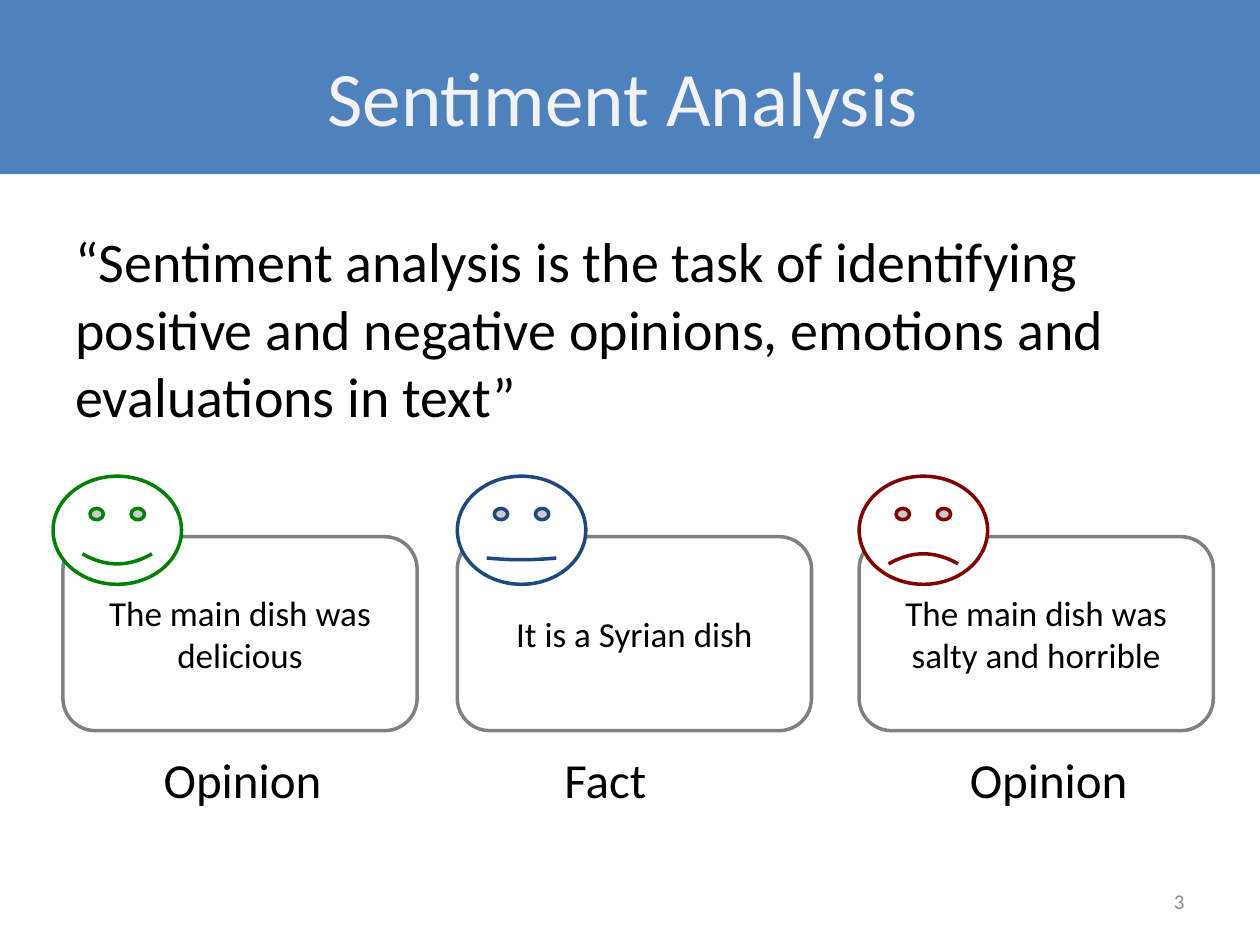
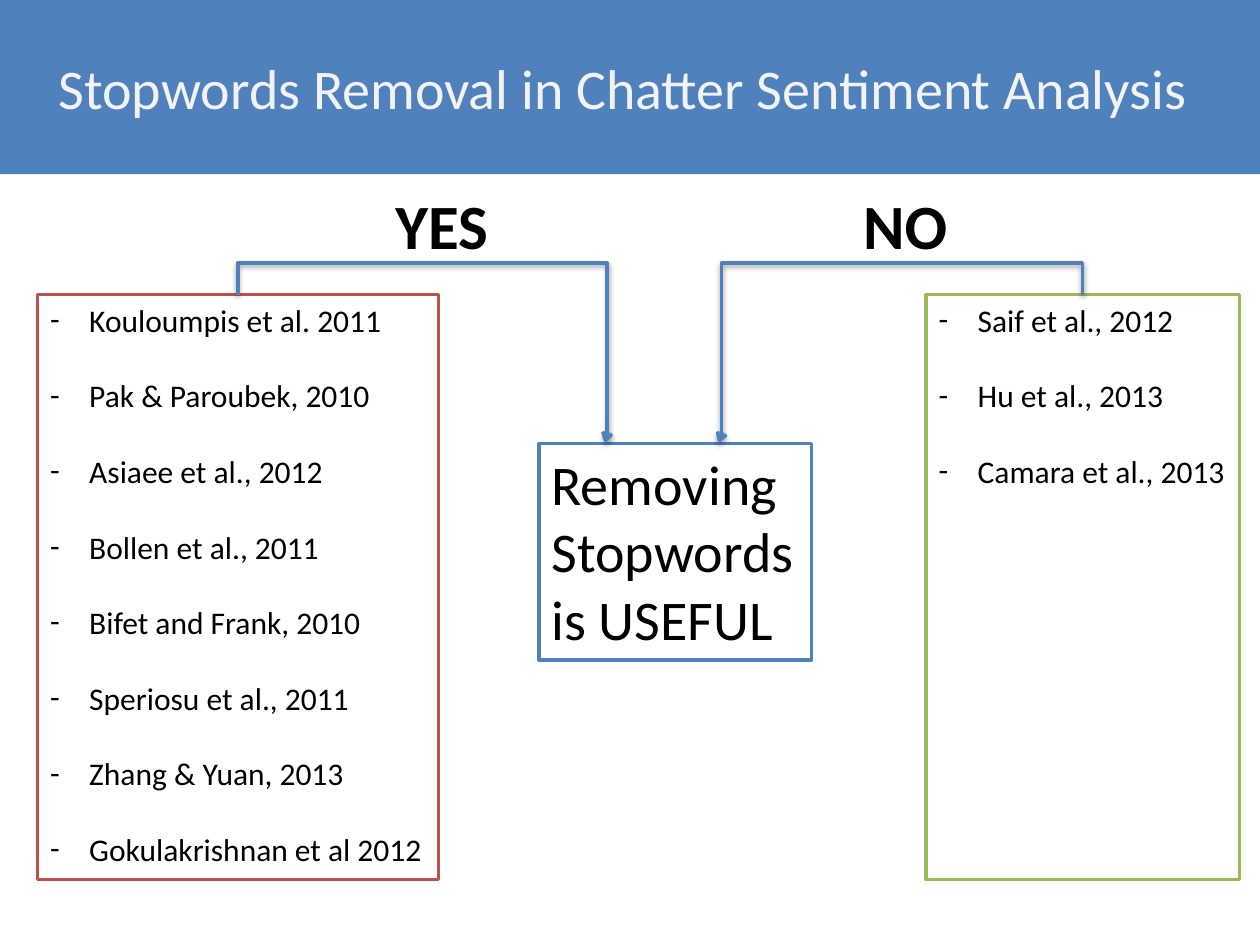
from dataclasses import dataclass

from lxml import etree
from pptx import Presentation
from pptx.dml.color import RGBColor
from pptx.enum.shapes import MSO_CONNECTOR, MSO_SHAPE
from pptx.enum.text import MSO_ANCHOR, PP_ALIGN
from pptx.oxml.ns import qn
from pptx.util import Cm, Pt

RECT = MSO_SHAPE.RECTANGLE
ROUNDED = MSO_SHAPE.ROUNDED_RECTANGLE
SMILEY = MSO_SHAPE.SMILEY_FACE
ELBOW = MSO_CONNECTOR.ELBOW
TOP, MIDDLE = MSO_ANCHOR.TOP, MSO_ANCHOR.MIDDLE
LEFT, CENTER, RIGHT = PP_ALIGN.LEFT, PP_ALIGN.CENTER, PP_ALIGN.RIGHT

FONT = "Calibri"
COLORS = {
    "white": "FFFFFF",
    "black": "000000",
    "blue": "4F81BD",
    "title": "F2F2F2",
    "number": "8C8C8C",
    "card": "808080",
    "positive": "008000",
    "neutral": "1F497D",
    "negative": "800000",
    "useful": "C0504D",
    "harmful": "9BBB59",
}
SLIDE_WIDTH, SLIDE_HEIGHT = 25.4, 19.05
BAND_HEIGHT = 3.51
LINE_WIDTH = 2
HANGING_INDENT = 0.79


@dataclass(frozen=True)
class Box:
    left: float
    top: float
    width: float
    height: float

    def lengths(self) -> tuple:
        return tuple(Cm(v) for v in (self.left, self.top, self.width, self.height))


@dataclass(frozen=True)
class TextStyle:
    size: float
    color: str = "black"
    bold: bool = False
    align: PP_ALIGN = LEFT
    anchor: MSO_ANCHOR = TOP
    dashed: bool = False
    gap: float = 0


@dataclass(frozen=True)
class Example:
    sentence: str
    label: str
    card_left: float
    face_left: float
    label_left: float
    mood: str
    smile: float


@dataclass(frozen=True)
class Camp:
    answer: str
    answer_left: float
    color: str
    left: float
    width: float
    papers: tuple
    arrow_start: float
    arrow_end: float
    arrow_bend: int


BODY = TextStyle(32)
NUMBER = TextStyle(12, "number", align=RIGHT, anchor=MIDDLE)
SENTENCE = TextStyle(20, align=CENTER, anchor=MIDDLE)
LABEL = TextStyle(28)
ANSWER = TextStyle(36, bold=True)
PAPERS = TextStyle(18, dashed=True, gap=21.6)

EXAMPLES = (
    Example("The main dish was delicious", "Opinion", 1.27, 1.07, 3.05, "positive", 0.047),
    Example("It is a Syrian dish", "Fact", 9.22, 9.22, 11.13, "neutral", 0.008),
    Example("The main dish was salty and horrible", "Opinion", 17.32, 17.32, 19.3,
            "negative", -0.047),
)

CAMP_TOP, CLAIM_TOP = 5.94, 8.94
CAMPS = (
    Camp("YES", 7.72, "useful", 0.76, 8.08,
         ("Kouloumpis et al. 2011", "Pak & Paroubek, 2010", "Asiaee et al., 2012",
          "Bollen et al., 2011", "Bifet and Frank, 2010", "Speriosu et al., 2011",
          "Zhang & Yuan, 2013", "Gokulakrishnan et al 2012"),
         4.8, 12.19, 100700),
    Camp("NO", 17.15, "harmful", 18.67, 6.32,
         ("Saif et al., 2012", "Hu et al., 2013", "Camara et al., 2013"),
         21.82, 14.48, 99100),
)


def rgb(name: str) -> RGBColor:
    return RGBColor.from_string(COLORS[name])


def add_child(parent, tag: str, **attributes):
    child = etree.SubElement(parent, qn(tag))
    for key, value in attributes.items():
        child.set(key, str(value))
    return child


def add_dash(paragraph) -> None:
    properties = paragraph._p.get_or_add_pPr()
    properties.set("marL", str(Cm(HANGING_INDENT)))
    properties.set("indent", str(-Cm(HANGING_INDENT)))
    add_child(properties, "a:buFont", typeface=FONT)
    add_child(properties, "a:buChar", char="-")


def write(shape, text: str, style: TextStyle) -> None:
    frame = shape.text_frame
    frame.text = text
    frame.word_wrap = True
    frame.vertical_anchor = style.anchor
    for index, paragraph in enumerate(frame.paragraphs):
        if style.dashed:
            add_dash(paragraph)
            frame.margin_right = 0
        if index and style.gap:
            paragraph.space_before = Pt(style.gap)
        paragraph.alignment = style.align
        for run in paragraph.runs:
            run.font.name = FONT
            run.font.size = Pt(style.size)
            run.font.bold = style.bold
            run.font.color.rgb = rgb(style.color)


def add_text(slide, box: Box, text: str, style: TextStyle) -> None:
    write(slide.shapes.add_textbox(*box.lengths()), text, style)


def add_figure(slide, preset: MSO_SHAPE, box: Box, fill: str, line: str = ""):
    figure = slide.shapes.add_shape(preset, *box.lengths())
    figure.shadow.inherit = False
    figure.fill.solid()
    figure.fill.fore_color.rgb = rgb(fill)
    if line:
        figure.line.color.rgb = rgb(line)
        figure.line.width = Pt(LINE_WIDTH)
    else:
        figure.line.fill.background()
    return figure


def add_header(slide, title: str, size: float, top: float) -> None:
    add_figure(slide, RECT, Box(0, 0, SLIDE_WIDTH, BAND_HEIGHT), "blue")
    style = TextStyle(size, "title", align=CENTER, anchor=MIDDLE)
    add_text(slide, Box(0, top, 25.12, BAND_HEIGHT - top), title, style)


def add_example(slide, example: Example) -> None:
    card = add_figure(slide, ROUNDED, Box(example.card_left, 10.82, 7.14, 3.91),
                      "white", "card")
    write(card, example.sentence, SENTENCE)
    face = add_figure(slide, SMILEY, Box(example.face_left, 9.6, 2.59, 2.18),
                      "white", example.mood)
    face.adjustments[0] = example.smile
    add_text(slide, Box(example.label_left, 14.99, 3.73, 1.45), example.label, LABEL)


def add_bent_arrow(slide, camp: Camp) -> None:
    drop = CLAIM_TOP - CAMP_TOP
    middle_x = (camp.arrow_start + camp.arrow_end) / 2
    middle_y = (CAMP_TOP + CLAIM_TOP) / 2
    reach = (camp.arrow_start - camp.arrow_end) / 2
    arrow = slide.shapes.add_connector(
        ELBOW, Cm(middle_x + drop / 2), Cm(middle_y + reach),
        Cm(middle_x - drop / 2), Cm(middle_y - reach))
    arrow.line.color.rgb = rgb("blue")
    arrow.line.width = Pt(LINE_WIDTH)
    properties = arrow._element.spPr
    properties.find(qn("a:xfrm")).set("rot", str(270 * 60000))
    geometry = properties.find(qn("a:prstGeom"))
    geometry.set("prst", "bentConnector4")
    guides = geometry.find(qn("a:avLst"))
    if guides is None:
        guides = add_child(geometry, "a:avLst")
    for name, value in (("adj1", -21300), ("adj2", camp.arrow_bend)):
        add_child(guides, "a:gd", name=name, fmla=f"val {value}")
    add_child(properties.find(qn("a:ln")), "a:tailEnd", type="arrow")
    effects = add_child(properties, "a:effectLst")
    shadow = add_child(effects, "a:outerShdw", blurRad=Pt(3.1), dist=Pt(1.6),
                       dir=90 * 60000, rotWithShape=0)
    shade = add_child(shadow, "a:srgbClr", val=COLORS["black"])
    add_child(shade, "a:alpha", val=38000)


def add_camp(slide, camp: Camp) -> None:
    papers = add_figure(slide, RECT, Box(camp.left, CAMP_TOP, camp.width, 11.79),
                        "white", camp.color)
    write(papers, "\n".join(camp.papers), PAPERS)
    add_bent_arrow(slide, camp)
    add_text(slide, Box(camp.answer_left, 3.63, 2.41, 1.8), camp.answer, ANSWER)


def build_definition(slide) -> None:
    add_header(slide, "Sentiment Analysis", 44, 0.33)
    add_text(slide, Box(1.27, 4.45, 22.86, 5.16),
             "“Sentiment analysis is the task of identifying positive and negative "
             "opinions, emotions and evaluations in text”", BODY)
    for example in EXAMPLES:
        add_example(slide, example)
    add_text(slide, Box(18.21, 17.65, 5.92, 1.02), "3", NUMBER)


def build_stopwords(slide) -> None:
    add_header(slide, "Stopwords Removal in Chatter Sentiment Analysis", 32, 0)
    claim = add_figure(slide, RECT, Box(10.87, CLAIM_TOP, 5.49, 4.37), "white", "blue")
    write(claim, "Removing\nStopwords\nis USEFUL", BODY)
    for camp in CAMPS:
        add_camp(slide, camp)


def main() -> None:
    deck = Presentation()
    deck.slide_width, deck.slide_height = Cm(SLIDE_WIDTH), Cm(SLIDE_HEIGHT)
    blank = deck.slide_layouts[6]
    for build in (build_definition, build_stopwords):
        build(deck.slides.add_slide(blank))
    deck.save("out.pptx")


if __name__ == "__main__":
    main()
